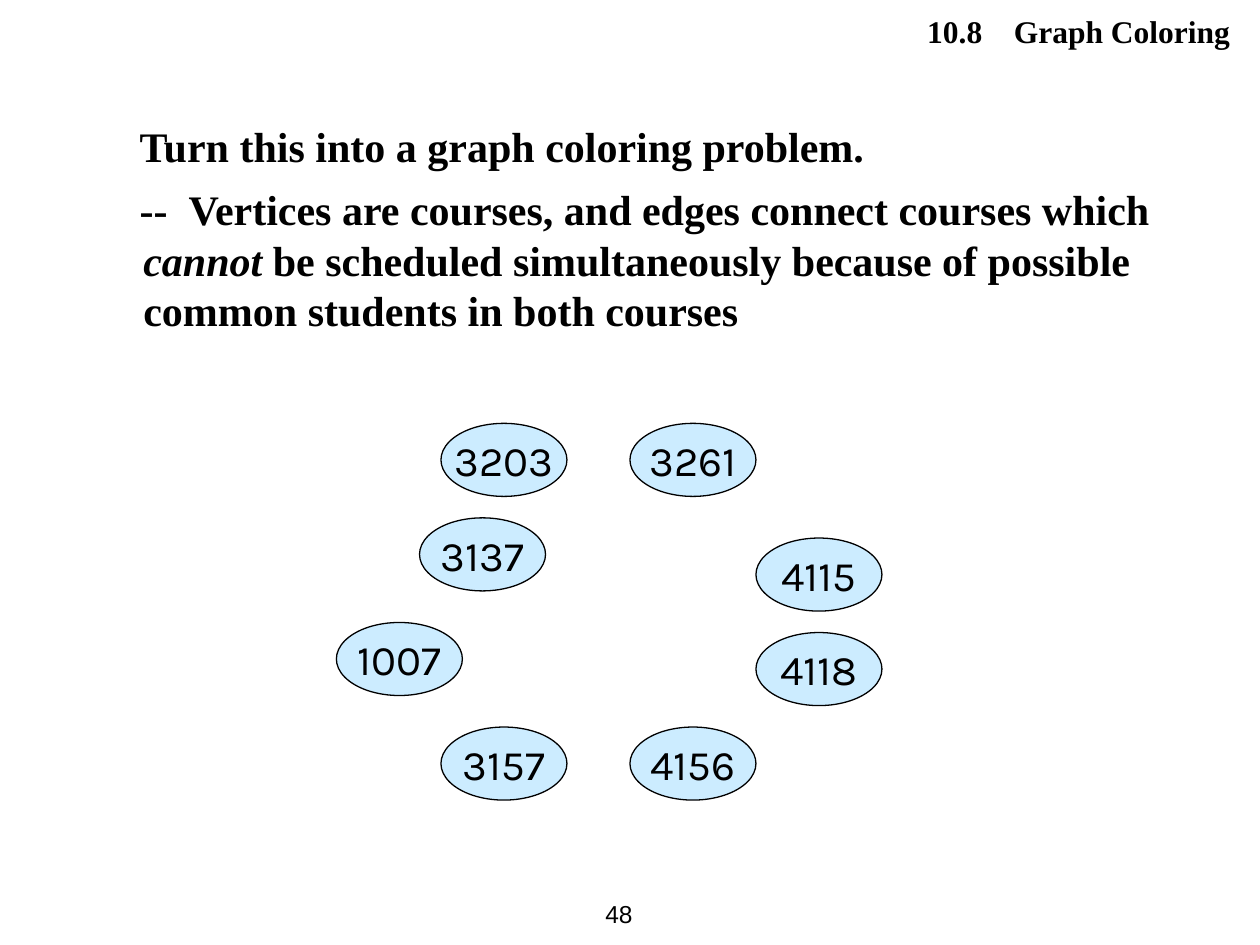
from dataclasses import dataclass

from pptx import Presentation
from pptx.dml.color import RGBColor
from pptx.enum.shapes import MSO_SHAPE
from pptx.enum.text import MSO_ANCHOR, PP_ALIGN
from pptx.util import Inches, Pt


@dataclass(frozen=True)
class Theme:
    ink: RGBColor = RGBColor(0x00, 0x00, 0x00)
    node_fill: RGBColor = RGBColor(0xCC, 0xEC, 0xFF)
    serif: str = "Times New Roman"
    sans: str = "Arial"
    node_font: str = "Karla"
    body_size: int = 24
    header_size: int = 18
    number_size: int = 14
    outline: float = 0.75


class GraphPage:
    """Draws the text and course vertices of one slide in a shared theme."""

    def __init__(self, page, theme):
        self.page = page
        self.theme = theme

    def style(self, span, font, size, bold=False):
        span.font.name = font
        span.font.size = Pt(size)
        span.font.bold = bold
        span.font.color.rgb = self.theme.ink

    def text_box(self, left, top, width, height):
        box = self.page.shapes.add_textbox(
            Inches(left), Inches(top), Inches(width), Inches(height)
        )
        box.text_frame.word_wrap = True
        return box.text_frame

    def spans(self, para, texts, size, italic_text=None, gap=0):
        for text in texts:
            span = para.add_run()
            span.text = text
            self.style(span, self.theme.serif, size, bold=True)
            span.font.italic = text == italic_text
            if text == " ":
                span.font._element.set("spc", str(round(gap * 100)))

    def header(self, number, title):
        para = self.text_box(3.98, 0.05, 5.88, 0.4).paragraphs[0]
        para.alignment = PP_ALIGN.RIGHT
        self.spans(para, [number, " ", title], self.theme.header_size, gap=13.5)

    def body(self, paragraphs, emphasis):
        frame = self.text_box(0.51, 0.91, 9.06, 1.84)
        for index, texts in enumerate(paragraphs):
            para = frame.add_paragraph() if index else frame.paragraphs[0]
            properties = para._p.get_or_add_pPr()
            properties.set("marL", str(Inches(0.53)))
            properties.set("indent", str(Inches(-0.03)))
            if index:
                para.space_before = Pt(7.2)
            self.spans(para, texts, self.theme.body_size, emphasis, gap=6)

    def vertex(self, course, left, top):
        node = self.page.shapes.add_shape(
            MSO_SHAPE.OVAL, Inches(left), Inches(top), Inches(1), Inches(0.58)
        )
        node.shadow.inherit = False
        node.fill.solid()
        node.fill.fore_color.rgb = self.theme.node_fill
        node.line.color.rgb = self.theme.ink
        node.line.width = Pt(self.theme.outline)
        frame = node.text_frame
        frame.text = course
        frame.word_wrap = False
        frame.vertical_anchor = MSO_ANCHOR.MIDDLE
        para = frame.paragraphs[0]
        para.alignment = PP_ALIGN.CENTER
        self.style(para.runs[0], self.theme.node_font, self.theme.body_size)

    def page_number(self, number):
        frame = self.text_box(4.45, 7, 0.67, 0.5)
        frame.text = number
        frame.word_wrap = False
        frame.vertical_anchor = MSO_ANCHOR.MIDDLE
        para = frame.paragraphs[0]
        para.alignment = PP_ALIGN.RIGHT
        self.style(para.runs[0], self.theme.sans, self.theme.number_size)


def main():
    deck = Presentation()
    deck.slide_width, deck.slide_height = Inches(10), Inches(7.5)
    graph = GraphPage(deck.slides.add_slide(deck.slide_layouts[6]), Theme())
    graph.page_number("48")
    graph.body(
        [
            ["Turn this into a graph coloring problem."],
            [
                "--",
                " ",
                "Vertices are courses, and edges connect courses which ",
                "cannot",
                " be scheduled simultaneously because of possible "
                "common students in both courses",
            ],
        ],
        emphasis="cannot",
    )
    courses = {
        "1007": (2.67, 4.94),
        "3137": (3.33, 4.11),
        "3157": (3.5, 5.77),
        "3203": (3.5, 3.36),
        "4115": (6, 4.27),
        "3261": (5, 3.36),
        "4156": (5, 5.77),
        "4118": (6, 5.02),
    }
    for course, (left, top) in courses.items():
        graph.vertex(course, left, top)
    graph.header("10.8", "Graph Coloring")
    deck.save("out.pptx")


if __name__ == "__main__":
    main()
